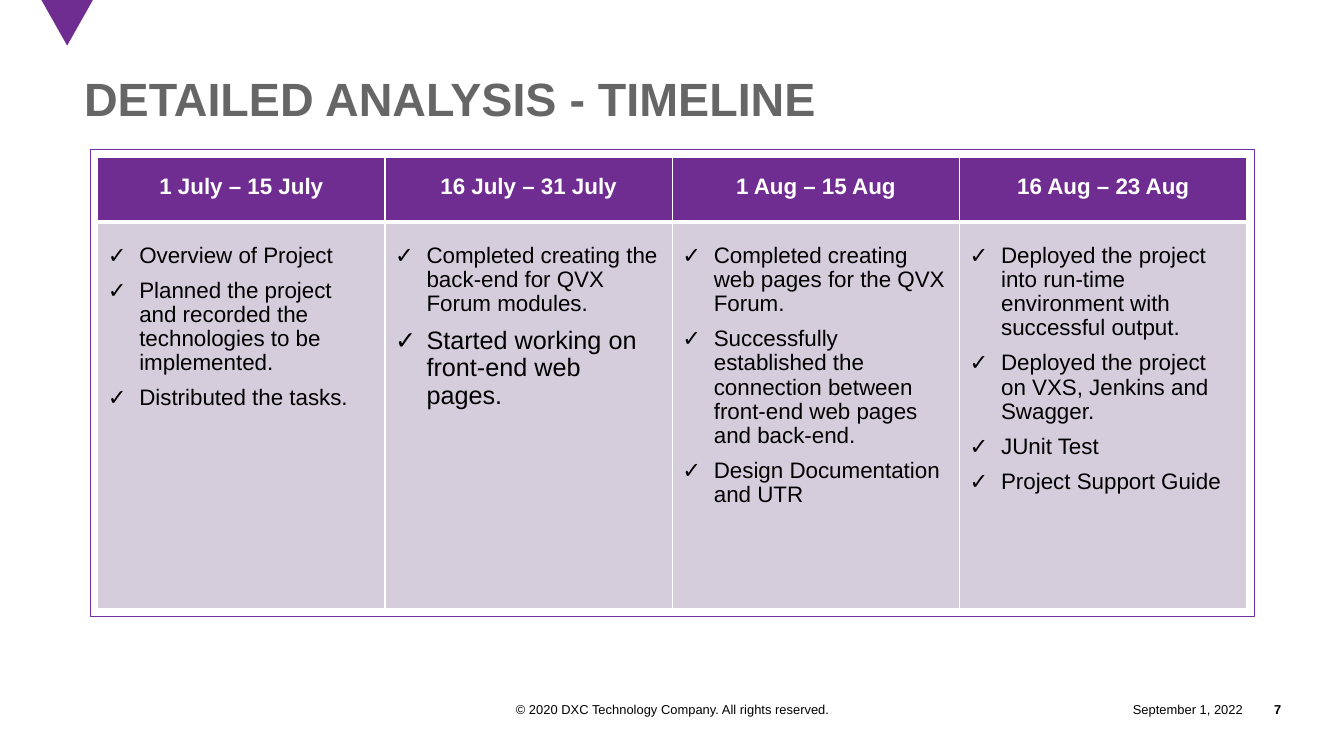
from lxml.etree import SubElement
from pptx import Presentation
from pptx.dml.color import RGBColor
from pptx.enum.shapes import MSO_SHAPE as Shape
from pptx.enum.text import MSO_ANCHOR as Anchor, PP_ALIGN as Align
from pptx.oxml.ns import qn
from pptx.util import Pt

# Content
TITLE = "DETAILED ANALYSIS - TIMELINE"
PHASES = [
    ("1 July – 15 July", [
        ("Overview of Project", 16),
        ("Planned the project and recorded the technologies to be implemented.", 16),
        ("Distributed the tasks.", 16)]),
    ("16 July – 31 July", [
        ("Completed creating the back-end for QVX Forum modules.", 16),
        ("Started working on front-end web pages.", 18)]),
    ("1 Aug – 15 Aug", [
        ("Completed creating web pages for the QVX Forum.", 16),
        ("Successfully established the connection between front-end web pages and back-end.", 16),
        ("Design Documentation and UTR", 16)]),
    ("16 Aug – 23 Aug", [
        ("Deployed the project into run-time environment with successful output.", 16),
        ("Deployed the project on VXS, Jenkins and Swagger.", 16),
        ("JUnit Test", 16),
        ("Project Support Guide", 16)]),
]
# Footer: text, left, width, alignment, bold, wrap
FOOTER = [
    ("© 2020 DXC Technology Company. All rights reserved.", 315.4, 329.8, Align.CENTER, False, False),
    ("September 1, 2022", 780.5, 107.3, Align.RIGHT, False, False),
    ("7", 887.8, 27.4, Align.RIGHT, True, True),
]
COLORS = {"purple": "6F2C91", "frame": "7030A0", "lilac": "D5CDDC",
          "grey": "666666", "black": "000000", "white": "FFFFFF"}

# Layout in points
TABLE_LEFT, TABLE_TOP, COLUMN_WIDTH = 69.8, 112.3, 205.2
HEADER_HEIGHT, BODY_HEIGHT = 46.1, 276.5
FRAME_GAP = 5.4
INDENT = 22.5


def color(name):
    return RGBColor.from_string(COLORS[name])


def style(paragraph, size, ink, bold=False):
    for run in paragraph.runs:
        run.font.name = "Arial"
        run.font.size = Pt(size)
        run.font.bold = bold
        run.font.color.rgb = color(ink)


def add_label(text, left, top, width, height, size, ink, align, bold, wrap=True):
    frame = slide.shapes.add_textbox(Pt(left), Pt(top), Pt(width), Pt(height)).text_frame
    frame.margin_left = frame.margin_right = frame.margin_top = frame.margin_bottom = 0
    frame.vertical_anchor = Anchor.MIDDLE
    frame.word_wrap = wrap
    frame.text = text
    line = frame.paragraphs[0]
    line.alignment = align
    style(line, size, ink, bold)
    return line


def paint_cell(cell, fill, bottom_width):
    properties = cell._tc.get_or_add_tcPr()
    for side, width in (("L", 1), ("R", 1), ("T", 1), ("B", bottom_width)):
        border = SubElement(properties, qn(f"a:ln{side}"), w=str(Pt(width)))
        solid = SubElement(border, qn("a:solidFill"))
        SubElement(solid, qn("a:srgbClr"), val=COLORS["white"])
    cell.fill.solid()
    cell.fill.fore_color.rgb = color(fill)


def add_check(paragraph):
    properties = paragraph._p.get_or_add_pPr()
    properties.set("marL", str(Pt(INDENT)))
    properties.set("indent", str(-Pt(INDENT)))
    SubElement(properties, qn("a:buFont"), typeface="Arial")
    SubElement(properties, qn("a:buChar"), char="✓")


deck = Presentation()
deck.slide_width, deck.slide_height = Pt(960), Pt(540)
slide = deck.slides.add_slide(deck.slide_layouts[6])

# Corner triangle
outline = slide.shapes.build_freeform(Pt(29.6), 0)
outline.add_line_segments([(Pt(48), Pt(32.6)), (Pt(66.4), 0)], close=True)
triangle = outline.convert_to_shape()
triangle.shadow.inherit = False
triangle.fill.solid()
triangle.fill.fore_color.rgb = color("purple")
triangle.line.fill.background()

# Footer and title
for text, left, width, align, bold, wrap in FOOTER:
    add_label(text, left, 497.5, width, 18, 9.2, "black", align, bold, wrap)
heading = add_label(TITLE, 60, 44.6, 840, 56.2, 33.3, "grey", Align.LEFT, True)
heading.line_spacing = 0.85

# Timeline table
table_width = COLUMN_WIDTH * len(PHASES)
table_height = HEADER_HEIGHT + BODY_HEIGHT
timeline = slide.shapes.add_table(2, len(PHASES), Pt(TABLE_LEFT), Pt(TABLE_TOP),
                                  Pt(table_width), Pt(table_height)).table
timeline.rows[0].height, timeline.rows[1].height = Pt(HEADER_HEIGHT), Pt(BODY_HEIGHT)
for column, (period, tasks) in enumerate(PHASES):
    timeline.columns[column].width = Pt(COLUMN_WIDTH)

    header = timeline.cell(0, column)
    paint_cell(header, "purple", 3)
    header.text_frame.text = period
    dates = header.text_frame.paragraphs[0]
    dates.alignment = Align.CENTER
    dates.line_spacing = 1.5
    style(dates, 16, "white", True)

    body = timeline.cell(1, column)
    paint_cell(body, "lilac", 1)
    body.margin_top = Pt(16)
    body.text_frame.text = "\n".join(task for task, _ in tasks)
    for number, (task, (_, size)) in enumerate(zip(body.text_frame.paragraphs, tasks)):
        add_check(task)
        task.line_spacing = 0.97
        if number:
            task.space_before = Pt(7.8)
        style(task, size, "black")

# Frame around the table
frame = slide.shapes.add_shape(
    Shape.RECTANGLE, Pt(TABLE_LEFT - FRAME_GAP), Pt(TABLE_TOP - FRAME_GAP),
    Pt(table_width + 2 * FRAME_GAP), Pt(table_height + 2 * FRAME_GAP))
frame.shadow.inherit = False
frame.fill.background()
frame.line.color.rgb = color("frame")
frame.line.width = Pt(0.75)

deck.save("out.pptx")
